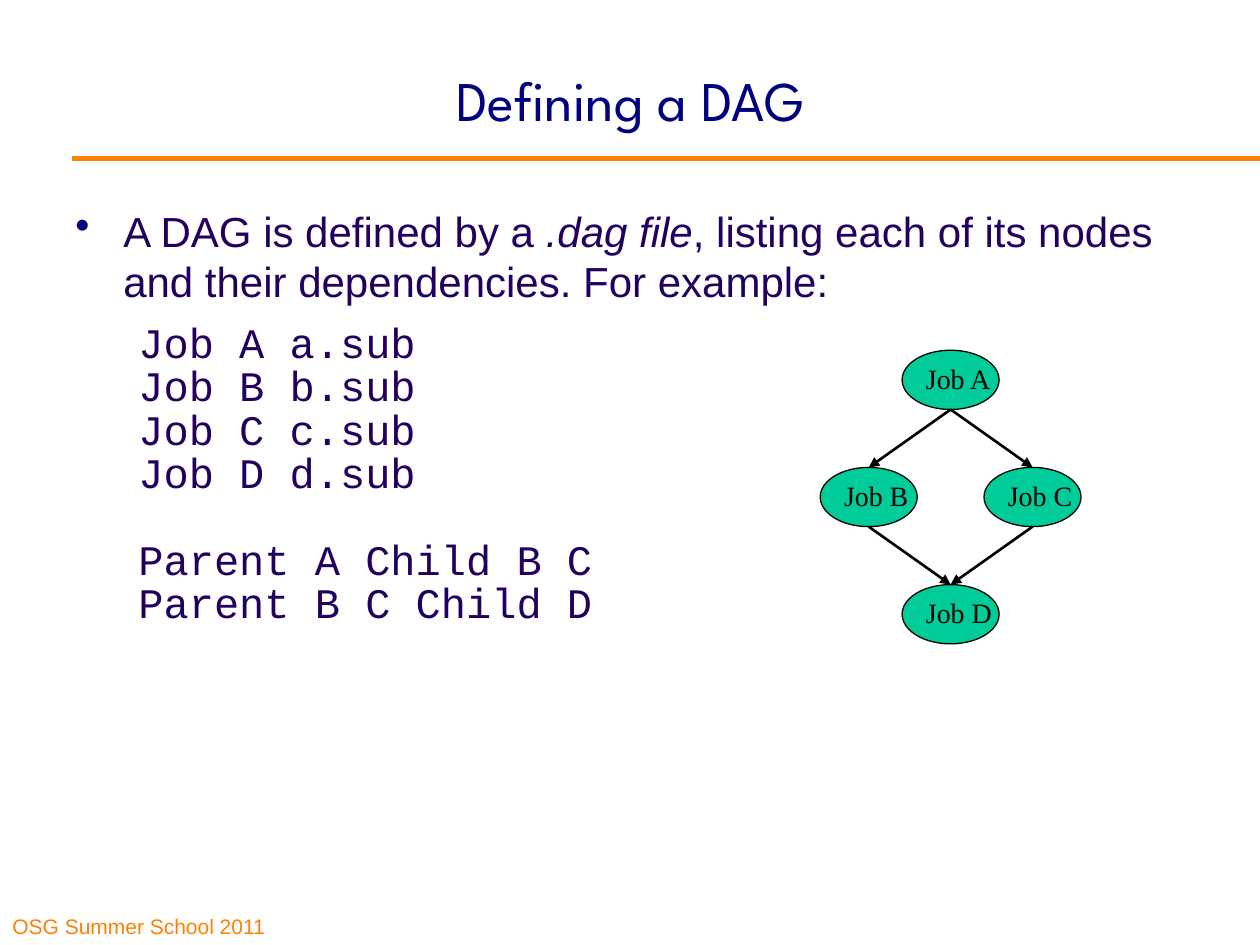
from pptx import Presentation
from pptx.dml.color import RGBColor
from pptx.enum import shapes, text
from pptx.oxml.ns import qn
from pptx.util import Inches, Pt
from lxml import etree

NAVY = RGBColor(0, 0, 0x80)
ORANGE = RGBColor(0xFF, 0x80, 0)
PURPLE = RGBColor(0x23, 0, 0x5F)
GREEN = RGBColor(0, 0xCC, 0x99)
BLACK = RGBColor(0, 0, 0)

deck = Presentation()
deck.slide_width, deck.slide_height = Inches(10), Inches(7.5)
slide = deck.slides.add_slide(deck.slide_layouts[6])


def write(words, left, top, width, height, face, size, color, anchor):
    box = slide.shapes.add_textbox(Inches(left), Inches(top), Inches(width), Inches(height))
    frame = box.text_frame
    frame.word_wrap = True
    frame.vertical_anchor = anchor
    frame.text = words
    for par in frame.paragraphs:
        for run in par.runs:
            run.font.name = face
            run.font.size = Pt(size)
            run.font.color.rgb = color
    return frame


def join(start, end, color, width):
    line = slide.shapes.add_connector(
        shapes.MSO_CONNECTOR.STRAIGHT, *[Inches(n) for n in start + end])
    line.line.color.rgb = color
    line.line.width = Pt(width)
    etree.SubElement(line._element.spPr, qn("a:effectLst"))
    return line


TOP, MID, LOW = text.MSO_ANCHOR.TOP, text.MSO_ANCHOR.MIDDLE, text.MSO_ANCHOR.BOTTOM

write("OSG Summer School 2011", 0, 7.08, 2.48, 0.42, "Arial", 12, ORANGE, LOW)
join((0.57, 1.26), (10, 1.26), ORANGE, 3)
title = write("Defining a DAG", 0.5, 0.51, 9.01, 0.55, "League Spartan", 32, NAVY, MID)
title.paragraphs[0].alignment = text.PP_ALIGN.CENTER

code = ["Job A a.sub", "Job B b.sub", "Job C c.sub", "Job D d.sub",
        "Parent A Child B C", "Parent B C Child D"]
body = write("\n".join([""] + code), 0.5, 1.58, 9.01, 4.57, "Courier New", 24, PURPLE, TOP)
intro, *rows = body.paragraphs
props = intro._p.get_or_add_pPr()
props.set("marL", str(Inches(0.38)))
props.set("indent", str(-Inches(0.38)))
tint = etree.SubElement(etree.SubElement(props, qn("a:buClr")), qn("a:srgbClr"))
tint.set("val", str(NAVY))
etree.SubElement(props, qn("a:buChar")).set("char", "•")
for words, slant in [("A DAG is defined by a ", False), (".dag file", True),
                     (", listing each of its nodes and their dependencies. For example:", False)]:
    run = intro.add_run()
    run.text = words
    run.font.name = "Arial"
    run.font.size = Pt(24)
    run.font.italic = slant
    run.font.color.rgb = PURPLE

gaps = {0: 14, 4: 29.5}
for i, row in enumerate(rows):
    row._p.get_or_add_pPr().set("marL", str(Inches(0.5)))
    row.line_spacing = 0.7
    row.space_before = Pt(gaps.get(i, 4.5))

wide, high = 0.77, 0.47
nodes = {"A": (7.16, 2.78), "B": (6.51, 3.71), "C": (7.81, 3.71), "D": (7.16, 4.64)}
for name, (x, y) in nodes.items():
    oval = slide.shapes.add_shape(
        shapes.MSO_SHAPE.OVAL, Inches(x), Inches(y), Inches(wide), Inches(high))
    oval.shadow.inherit = False
    oval.fill.solid()
    oval.fill.fore_color.rgb = GREEN
    oval.line.color.rgb = BLACK
    oval.line.width = Pt(0.75)
    label = write(f"Job {name}", x + 0.09, y + 0.07, 0.68, 0.33,
                  "Times New Roman", 16, BLACK, MID)
    label.margin_right = 0
    label.paragraphs[0].line_spacing = 0.93

for head, tail in ["AB", "AC", "CD", "BD"]:
    (x, y), (right, down) = nodes[head], nodes[tail]
    arrow = join((x + wide / 2, y + high), (right + wide / 2, down), BLACK, 1.5)
    etree.SubElement(arrow.line._get_or_add_ln(), qn("a:tailEnd")).set("type", "triangle")

deck.save("out.pptx")
